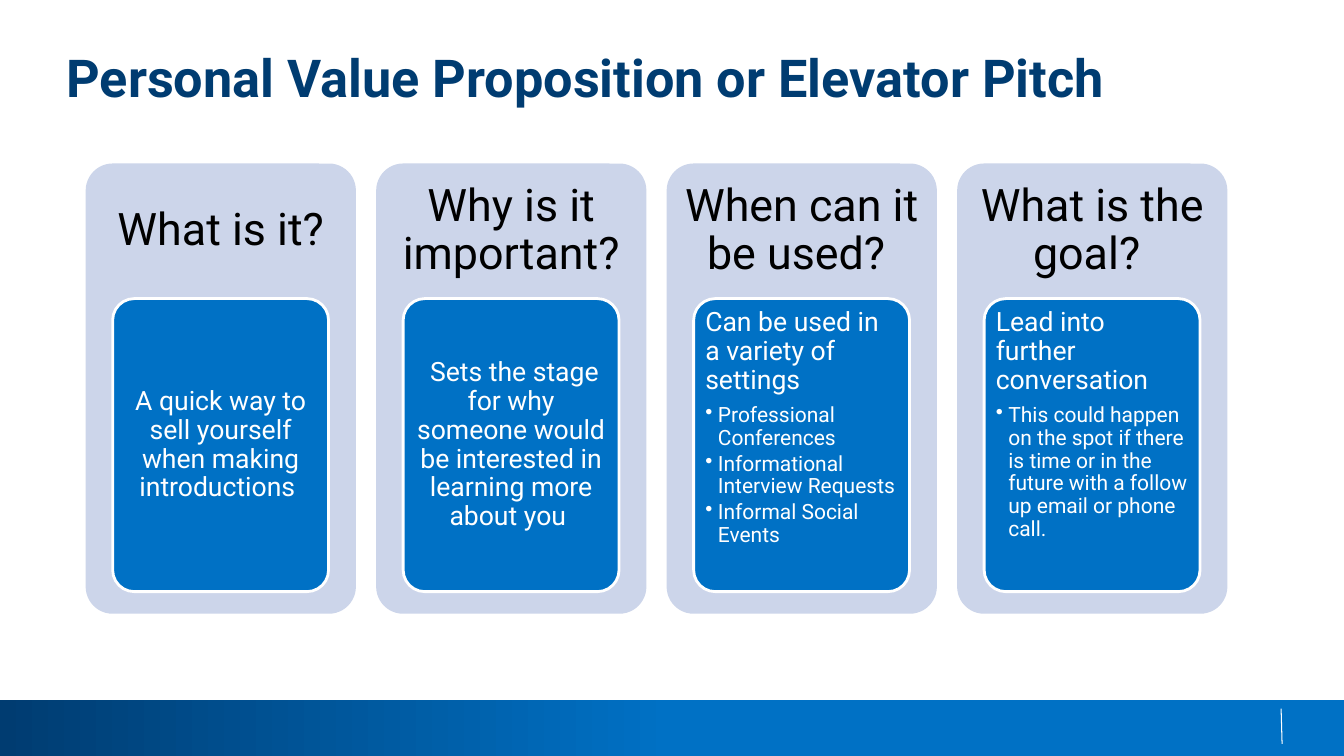
from lxml.etree import SubElement
from pptx import Presentation
from pptx.dml.color import RGBColor
from pptx.enum.shapes import MSO_CONNECTOR, MSO_SHAPE
from pptx.enum.text import MSO_ANCHOR, MSO_AUTO_SIZE, PP_ALIGN
from pptx.oxml.ns import qn
from pptx.util import Pt

NAVY = RGBColor(0x00, 0x3C, 0x71)
BLUE = RGBColor(0x00, 0x71, 0xC5)
PALE = RGBColor(0xCC, 0xD5, 0xEA)
BLACK = RGBColor(0, 0, 0)
WHITE = RGBColor(255, 255, 255)
WIDE, HIGH = 960, 540

# Column layout
LEFT, TOP, STEP = 61.2, 116.8, 207.5
CARD_W, CARD_H, HEAD_H = 193, 321.6, 96.5
BOX_IN, BOX_W, BOX_H = 19.3, 154.2, 209.3

# Heading, lead text, bullets
COLUMNS = [
    ("What is it?",
     "A quick way to sell yourself when making introductions ", []),
    ("Why is it important?",
     " Sets the stage for why someone would be interested in "
     "learning more about you ", []),
    ("When can it be used? ", "Can be used in a variety of settings",
     ["Professional Conferences", "Informational Interview Requests",
      "Informal Social Events"]),
    ("What is the goal? ", "Lead into further conversation",
     ["This could happen on the spot if there is time or in the future "
      "with a follow up email or phone call."]),
]


def assign(thing, values):
    for name, value in values.items():
        setattr(thing, name, value)


def set_frame(frame, anchor, side, top):
    assign(frame, {
        "word_wrap": True, "auto_size": MSO_AUTO_SIZE.NONE,
        "vertical_anchor": anchor,
        "margin_left": Pt(side), "margin_right": Pt(side),
        "margin_top": Pt(top), "margin_bottom": Pt(top)})


def write(para, text, size, color, align=PP_ALIGN.LEFT, bold=False,
          after=0.0, line=0.9):
    run = para.add_run()
    run.text = text
    assign(run.font, {"name": "Roboto", "size": Pt(size), "bold": bold})
    run.font.color.rgb = color
    assign(para, {"alignment": align, "line_spacing": line,
                  "space_before": Pt(0), "space_after": Pt(size * after)})


def add_bullet(para, text):
    para.level = 1
    write(para, text, 15, WHITE, after=0.15)
    props = para._p.get_or_add_pPr()
    props.set("marL", str(Pt(9)))
    props.set("indent", str(Pt(-9)))
    SubElement(props, qn("a:buChar")).set("char", "•")


def add_card(slide, x, y, w, h, fill, edge=None):
    card = slide.shapes.add_shape(MSO_SHAPE.ROUNDED_RECTANGLE,
                                  Pt(x), Pt(y), Pt(w), Pt(h))
    card.adjustments[0] = 0.1
    card.shadow.inherit = False
    card.fill.solid()
    card.fill.fore_color.rgb = fill
    if edge is None:
        card.line.fill.background()
    else:
        card.line.color.rgb = edge
        card.line.width = Pt(2)
    return card


def add_column(slide, x, head, lead, points):
    add_card(slide, x, TOP, CARD_W, CARD_H, PALE)

    # Heading
    label = slide.shapes.add_textbox(Pt(x), Pt(TOP), Pt(CARD_W), Pt(HEAD_H))
    set_frame(label.text_frame, MSO_ANCHOR.MIDDLE, 9.6, 9.6)
    write(label.text_frame.paragraphs[0], head, 32, BLACK, PP_ALIGN.CENTER)

    # Answer box: centred unless it holds bullets
    box = add_card(slide, x + BOX_IN, TOP + HEAD_H, BOX_W, BOX_H, BLUE, WHITE)
    frame = box.text_frame
    anchor = MSO_ANCHOR.TOP if points else MSO_ANCHOR.MIDDLE
    align = PP_ALIGN.LEFT if points else PP_ALIGN.CENTER
    set_frame(frame, anchor, 3.8, 2.9)
    write(frame.paragraphs[0], lead, 19, WHITE, align, after=0.35)
    for point in points:
        add_bullet(frame.add_paragraph(), point)


def add_footer(slide):
    band = slide.shapes.add_shape(MSO_SHAPE.RECTANGLE,
                                  0, Pt(500), Pt(WIDE), Pt(HIGH - 500))
    band.shadow.inherit = False
    band.line.fill.background()
    band.fill.gradient()
    band.fill.gradient_angle = 0
    stops = zip(band.fill.gradient_stops, (NAVY, BLUE), (0, 0.5))
    for stop, color, place in stops:
        stop.color.rgb = color
        stop.position = place

    rule = slide.shapes.add_connector(MSO_CONNECTOR.STRAIGHT, Pt(915.1),
                                      Pt(506.2), Pt(915.8), Pt(531.4))
    rule.line.color.rgb = WHITE
    rule.line.width = Pt(0.75)
    SubElement(rule._element.spPr, qn("a:effectLst"))


def add_title(slide, text):
    title = slide.shapes.title
    assign(title, {"left": Pt(47.5), "top": Pt(32.4),
                   "width": Pt(864), "height": Pt(91.4)})
    set_frame(title.text_frame, MSO_ANCHOR.TOP, 0, 0)
    write(title.text_frame.paragraphs[0], text, 37.3, NAVY, bold=True, line=1.0)


def main():
    deck = Presentation()
    assign(deck, {"slide_width": Pt(WIDE), "slide_height": Pt(HIGH)})
    slide = deck.slides.add_slide(deck.slide_layouts[5])
    add_footer(slide)
    add_title(slide, "Personal Value Proposition or Elevator Pitch")
    for i, column in enumerate(COLUMNS):
        add_column(slide, LEFT + i * STEP, *column)
    deck.save("out.pptx")


if __name__ == "__main__":
    main()
